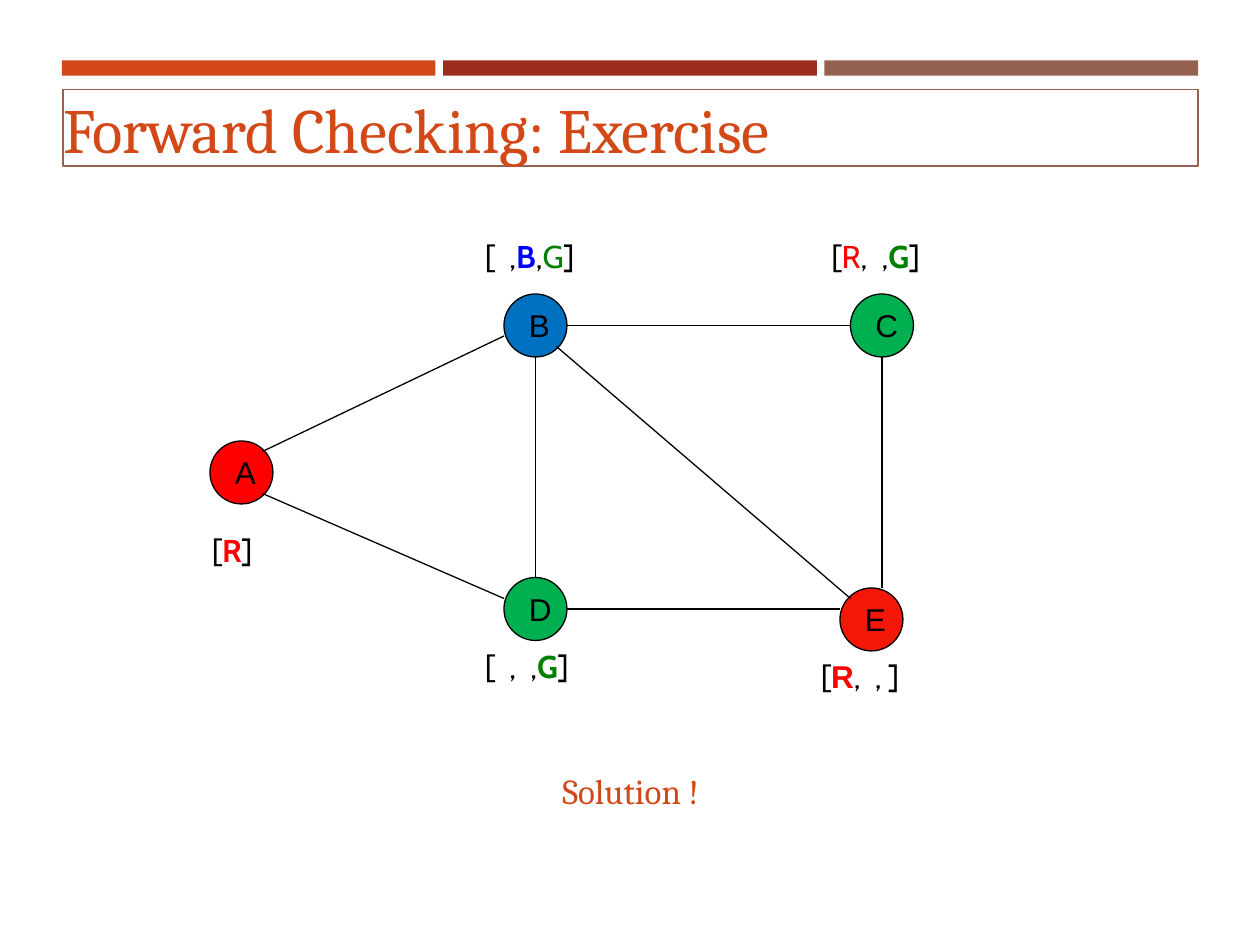
import pptx
import pptx.util
import pptx.dml.color
import pptx.enum.shapes
import pptx.enum.text
import lxml.etree

Inches, Pt = pptx.util.Inches, pptx.util.Pt
SHAPE = pptx.enum.shapes.MSO_SHAPE
ALIGN = pptx.enum.text.PP_ALIGN
ANCHOR = pptx.enum.text.MSO_ANCHOR

THEME = {
    "accent": "D34817", "brick": "9B2D1F", "brown": "956251",
    "ink": "000000", "red": "FF0000", "blue": "0000FF", "green": "008000",
    "node red": "FF0000", "node blue": "0070C0", "node green": "00B050",
    "node scarlet": "F21706",
    "heading font": "Cambria", "domain font": "Cabin", "node font": "Arial",
    "title size": 36, "caption size": 20, "graph size": 18,
}

# Content: graph positions count in grid cells, twelve to the inch
CELL = 1 / 12
NODE_CELLS = 6
TITLE = "Forward Checking: Exercise"
CAPTION = "Solution !"
STRIPES = ["accent", "brick", "brown"]
NODES = [  # letter, fill, column, row
    ("A", "node red", 20, 42),
    ("B", "node blue", 48, 28),
    ("C", "node green", 81, 28),
    ("D", "node green", 48, 55),
    ("E", "node scarlet", 80, 56),
]
EDGES = [  # start column and row, end column and row
    (25, 43, 48, 32),  # A-B
    (25, 47, 48, 57),  # A-D
    (51, 34, 51, 55),  # B-D
    (54, 31, 81, 31),  # B-C
    (84, 34, 84, 56),  # C-E
    (54, 58, 80, 58),  # D-E
    (53, 33, 81, 57),  # B-E
]
DOMAINS = [  # column, row, width in inches, runs of (text, colour, bold, font)
    (19, 50, 0.57, [("[",), ("R", "red", True), ("]",)]),
    (45, 22, 1.04, [("[  ,",), ("B", "blue", True), (",",), ("G", "green"), ("]",)]),
    (78, 22, 1.05, [("[",), ("R", "red"), (",  ,",), ("G", "green", True), ("]",)]),
    (45, 61, 1.05, [("[  ,  ,",), ("G", "green", True), ("]",)]),
    (77, 62, 0.96, [("[",), ("R", "red", True, "node font"), (",  , ]",)]),
]

deck = pptx.Presentation()
deck.slide_width, deck.slide_height = Inches(10), Inches(7.5)
page = deck.slides.add_slide(deck.slide_layouts[6])


def colour(name):
    return pptx.dml.color.RGBColor.from_string(THEME[name])


def add_shape(kind, left, top, width, height, fill=None, line=None, weight=0.75):
    shape = page.shapes.add_shape(kind, *map(Inches, (left, top, width, height)))
    shape.shadow.inherit = False
    if fill:
        shape.fill.solid()
        shape.fill.fore_color.rgb = colour(fill)
    else:
        shape.fill.background()
    if line:
        shape.line.color.rgb = colour(line)
        shape.line.width = Pt(weight)
    else:
        shape.line.fill.background()
    return shape


def add_box(left, top, width, height, wrap=True):
    box = page.shapes.add_textbox(*map(Inches, (left, top, width, height)))
    box.text_frame.word_wrap = wrap
    return box


def write(box, runs, size, font, align=ALIGN.LEFT):
    para = box.text_frame.paragraphs[0]
    para.alignment = align
    for text, ink, bold, face in runs:
        span = para.add_run()
        span.text = text
        span.font.size = Pt(THEME[size])
        span.font.name = THEME[face or font]
        span.font.bold = bold
        span.font.color.rgb = colour(ink)


def full_run(text, ink="ink", bold=False, face=None):
    return text, ink, bold, face


# Stripes across the top
MARGIN, GAP = 0.49, 0.06
stripe_width = (10 - 2 * MARGIN - 2 * GAP) / len(STRIPES)
for index, fill in enumerate(STRIPES):
    add_shape(SHAPE.RECTANGLE, MARGIN + index * (stripe_width + GAP), 0.48,
              stripe_width, 0.12, fill)

# Nodes
for letter, fill, column, row in NODES:
    size = NODE_CELLS * CELL
    add_shape(SHAPE.OVAL, column * CELL, row * CELL, size, size, fill, "ink")

# Edges
for edge in EDGES:
    line = page.shapes.add_connector(pptx.enum.shapes.MSO_CONNECTOR.STRAIGHT,
                                     *[Inches(cells * CELL) for cells in edge])
    line.line.color.rgb = colour("ink")
    line.line.width = Pt(0.75)
    lxml.etree.SubElement(line.element.spPr, pptx.oxml.ns.qn("a:effectLst"))

# Remaining values beside each node
for column, row, width, runs in DOMAINS:
    box = add_box(column * CELL, row * CELL, width, 0.4, wrap=False)
    write(box, [full_run(*run) for run in runs], "graph size", "domain font")

# Title in its frame
title = add_shape(SHAPE.RECTANGLE, 0.5, 0.71, 9.01, 0.61, line="brown", weight=1)
frame = title.text_frame
frame.margin_left = frame.margin_right = frame.margin_top = frame.margin_bottom = 0
frame.vertical_anchor = ANCHOR.MIDDLE
frame.word_wrap = True
write(title, [full_run(TITLE, "accent")], "title size", "heading font")

# Caption
caption = add_box(3.42, 6.06, 3.17, 0.44)
write(caption, [full_run(CAPTION, "accent")], "caption size", "heading font", ALIGN.CENTER)

# Node letters
for letter, fill, column, row in NODES:
    box = add_box(column * CELL + 0.1, row * CELL + 0.05, 0.3, 0.4)
    write(box, [full_run(letter)], "graph size", "node font", ALIGN.CENTER)

deck.save("out.pptx")
